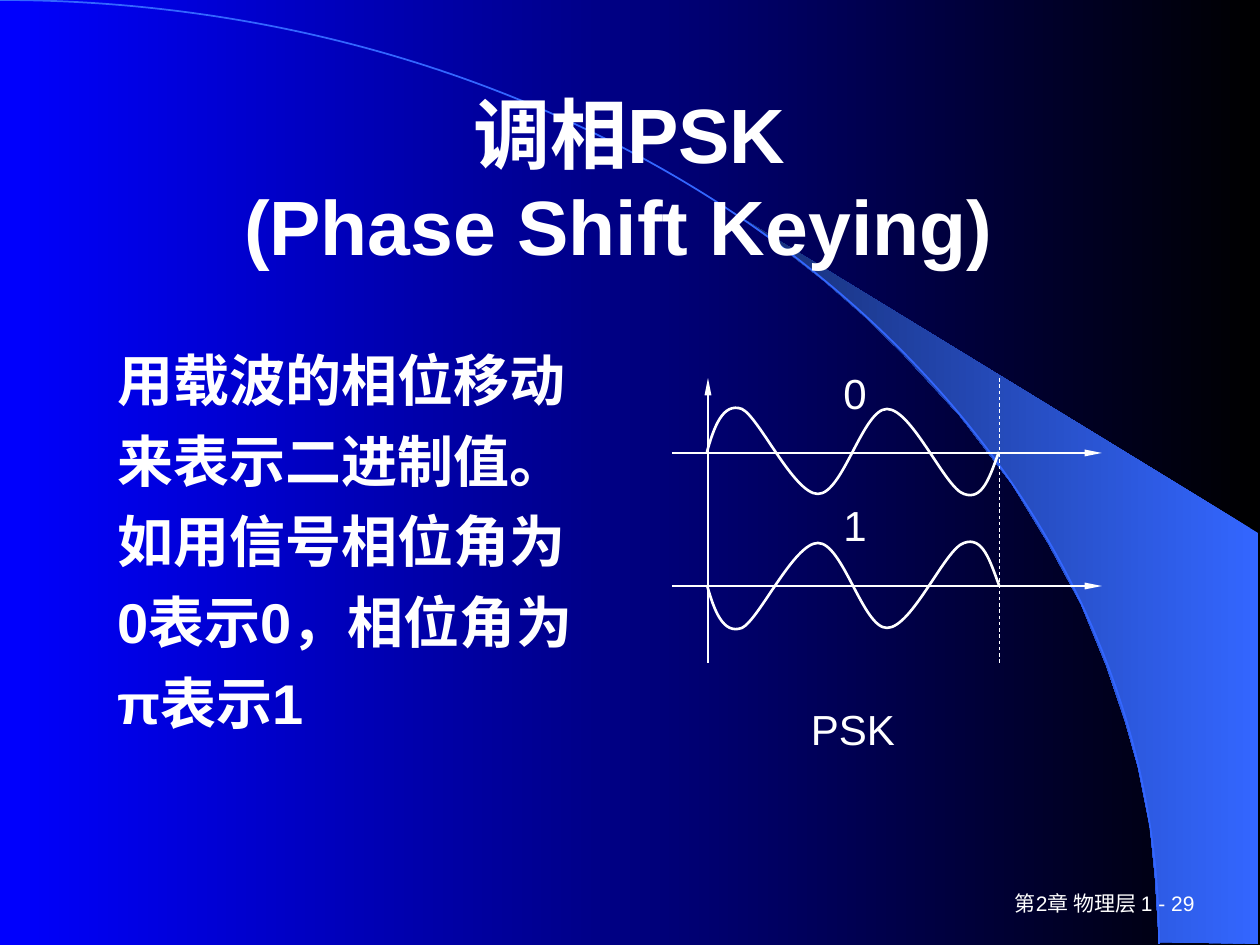
"""Build the slide on phase shift keying, with its two carrier waves."""
from lxml import etree
from pptx import Presentation
from pptx.dml.color import RGBColor
from pptx.enum.dml import MSO_LINE
from pptx.enum.shapes import MSO_CONNECTOR
from pptx.enum.text import MSO_ANCHOR, MSO_AUTO_SIZE, PP_ALIGN
from pptx.oxml.ns import qn
from pptx.util import Emu, Pt

TOP, MIDDLE = MSO_ANCHOR.TOP, MSO_ANCHOR.MIDDLE
LEFT, CENTER, RIGHT = PP_ALIGN.LEFT, PP_ALIGN.CENTER, PP_ALIGN.RIGHT
STRAIGHT, DASH = MSO_CONNECTOR.STRAIGHT, MSO_LINE.DASH
SCALE = 914400 / 126
FONT, WHITE, BLUE = "Arial", "FFFFFF", "3366FF"

TITLE_LINES = ["调相PSK", "(Phase Shift Keying) "]
EXPLANATION = "用载波的相位移动来表示二进制值。如用信号相位角为0表示0，相位角为π表示1"
FOOTER = "第2章 物理层 1 - 29"
CAPTION = "PSK"
BITS = ["0", "1"]

ARC = [(0, 0), (640, 0), (1159, 422), (1159, 944)]
ARC_CORNERS = [(-1159, 0), (1159, 1886)]
BEAM = [(1159, 942), (1258, 944), (1258, 533), (742, 218), (786, 251),
        (823, 280), (863, 315), (902, 353), (960, 416), (1012, 484),
        (1048, 543), (1081, 604), (1106, 665), (1125, 721), (1138, 767),
        (1150, 827), (1155, 877)]
WAVE = [(707, 0), (714, -25), (723, -50), (742, -43), (759, -35), (794, 42),
        (818, 42), (843, 42), (863, -43), (887, -43), (912, -43), (945, 36),
        (964, 42), (983, 49), (990, 24), (999, 0)]
WAVE_AXES = [(453, 1), (586, -1)]
AXIS_LEFT, AXIS_RIGHT = 672, 1102
PLOT_LEFT, PLOT_RIGHT = 708, 999
PLOT_TOP, PLOT_BOTTOM = 378, 663


def px(length):
    return Emu(round(length * SCALE))


def color(value):
    return RGBColor.from_string(value)


def set_gradient(fill, start, end):
    fill.gradient()
    fill.gradient_angle = 180
    for stop, position, value in zip(fill.gradient_stops, (0, 1), (start, end)):
        stop.position = position
        stop.color.rgb = color(value)


def style_line(line, value, width):
    line.color.rgb = color(value)
    line.width = Pt(width)


def add_outline(shapes, points, corners=(), close=False):
    """Draw a polyline; corners widen its frame without drawing anything."""
    moves = [(px(x), px(y)) for x, y in (*corners, points[0])]
    builder = shapes.build_freeform(*moves[0])
    for move in moves[1:]:
        builder.move_to(*move)
    builder.add_line_segments([(px(x), px(y)) for x, y in points[1:]], close=close)
    outline = builder.convert_to_shape()
    outline.shadow.inherit = False
    for move in list(outline.element.iter(qn("a:moveTo")))[:-1]:
        move.getparent().remove(move)
    return outline


def add_curve(shapes, controls, value, width, corners=()):
    """Draw cubic segments by regrouping line points in threes."""
    curve = add_outline(shapes, controls, corners)
    curve.fill.background()
    style_line(curve.line, value, width)
    lines = list(curve.element.iter(qn("a:lnTo")))
    for i in range(0, len(lines), 3):
        cubic = etree.SubElement(lines[i].getparent(), qn("a:cubicBezTo"))
        for line in lines[i:i + 3]:
            cubic.append(line[0])
            line.getparent().remove(line)


def add_rule(shapes, start, end, width=0.75, arrow=True):
    rule = shapes.add_connector(STRAIGHT, *map(px, start + end))
    style_line(rule.line, WHITE, width)
    properties = rule.element.spPr
    if arrow:
        etree.SubElement(properties.find(qn("a:ln")), qn("a:tailEnd"),
                         type="triangle", w="sm", len="lg")
    else:
        rule.line.dash_style = DASH
    etree.SubElement(properties, qn("a:effectLst"))


def style_frame(frame, anchor):
    frame.word_wrap = True
    frame.auto_size = MSO_AUTO_SIZE.NONE
    frame.vertical_anchor = anchor


def add_run(paragraph, text, size, bold):
    run = paragraph.add_run()
    run.text = text
    run.font.name, run.font.size, run.font.bold = FONT, Pt(size), bold
    run.font.color.rgb = color(WHITE)


def add_text(shapes, box, lines, size, align=LEFT, anchor=TOP, bold=False,
             spacing=1.0, gap=0):
    frame = shapes.add_textbox(*map(px, box)).text_frame
    style_frame(frame, anchor)
    for i, line in enumerate(lines):
        paragraph = frame.add_paragraph() if i else frame.paragraphs[0]
        paragraph.alignment = align
        paragraph.line_spacing = spacing
        if i:
            paragraph.space_before = Pt(gap)
        add_run(paragraph, line, size, bold)


def add_backdrop(slide):
    set_gradient(slide.background.fill, "000000", "0000FF")
    beam = add_outline(slide.shapes, BEAM, close=True)
    set_gradient(beam.fill, BLUE, "172F75")
    beam.line.fill.background()
    add_curve(slide.shapes, ARC, BLUE, 1, ARC_CORNERS)


def add_title(slide):
    title = slide.shapes.title
    title.element.getparent().append(title.element)
    title.left, title.top, title.width, title.height = map(px, (94, 84, 1071, 189))
    style_frame(title.text_frame, MIDDLE)
    paragraph = title.text_frame.paragraphs[0]
    paragraph.alignment = CENTER
    for i, line in enumerate(TITLE_LINES):
        if i:
            paragraph.add_line_break()
        add_run(paragraph, line, 44, True)


def add_plot(shapes):
    add_text(shapes, (741, 697, 224, 62), [CAPTION], 24, CENTER)
    add_rule(shapes, (PLOT_LEFT, PLOT_BOTTOM), (PLOT_LEFT, PLOT_TOP))
    for axis, _ in WAVE_AXES:
        add_rule(shapes, (AXIS_LEFT, axis), (AXIS_RIGHT, axis))
    add_rule(shapes, (PLOT_RIGHT, PLOT_TOP), (PLOT_RIGHT, PLOT_BOTTOM), 0.5, False)
    add_text(shapes, (787, 346, 136, 186), BITS, 24, CENTER, spacing=1.3, gap=38)
    for axis, sign in WAVE_AXES:
        add_curve(shapes, [(x, axis - 1 + sign * y) for x, y in WAVE], WHITE, 1.5)


def main():
    deck = Presentation()
    deck.slide_width, deck.slide_height = px(1260), px(945)
    slide = deck.slides.add_slide(deck.slide_layouts[5])
    add_backdrop(slide)
    add_text(slide.shapes, (945, 882, 262, 42), [FOOTER], 12, RIGHT, MIDDLE)
    add_title(slide)
    add_text(slide.shapes, (105, 326, 483, 441), [EXPLANATION], 32, bold=True, spacing=1.2)
    add_plot(slide.shapes)
    deck.save("out.pptx")


if __name__ == "__main__":
    main()
